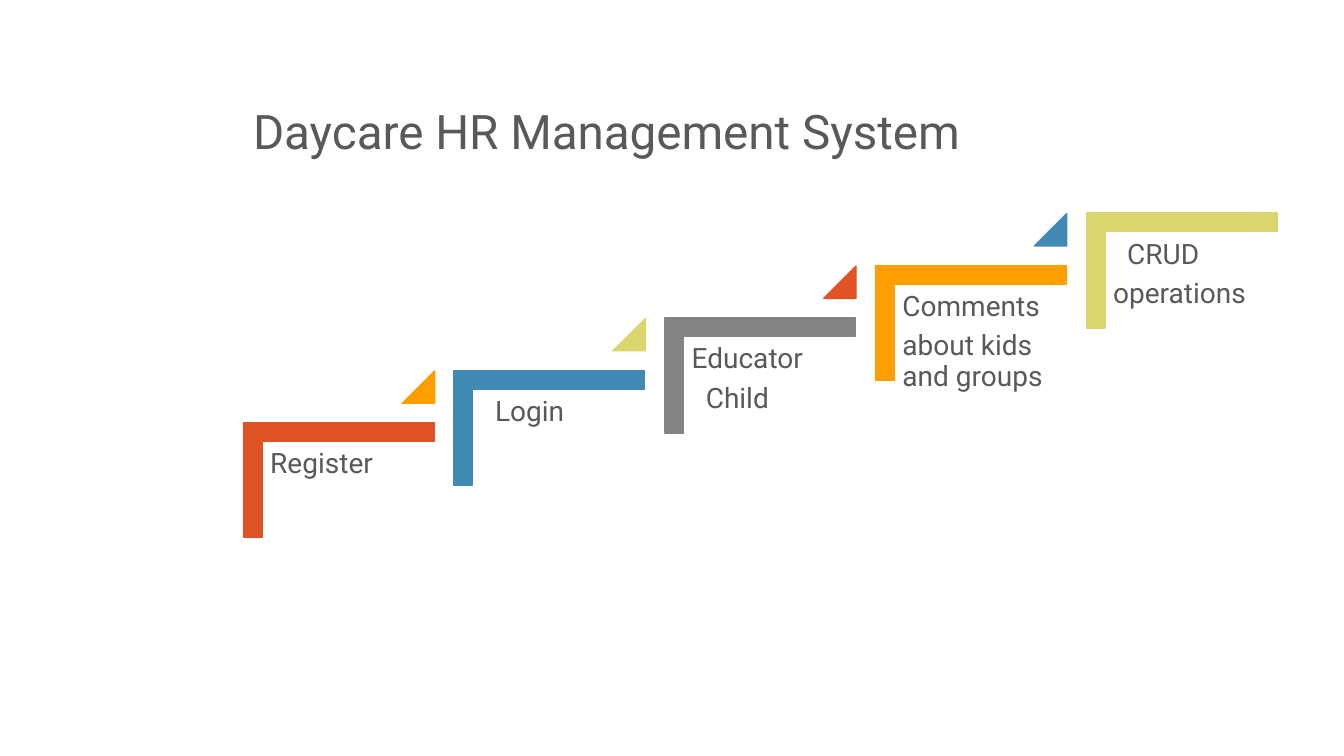
from pptx import Presentation
from pptx.dml.color import RGBColor
from pptx.enum import shapes, text
from pptx.util import Inches, Pt

# Content: one step per entry, each line with its indent in inches
TITLE = "Daycare HR Management System"
STEPS = [
    ("red", [("Register", 0)]),
    ("blue", [("Login", 0.14)]),
    ("gray", [("Educator", 0), ("Child", 0.14)]),
    ("orange", [("Comments", 0), ("about kids and groups", 0)]),
    ("lime", [("CRUD", 0.14), ("operations", 0)]),
]
TRIANGLES = ["orange", "lime", "red", "blue"]
COLORS = {
    "red": "DF5327", "blue": "418AB3", "gray": "838383",
    "orange": "FE9E00", "lime": "D9D66D", "text": "595959",
}

# Places on the first step, and the shift from step to step
CORNER = (2.79, 3.82, 1.14, 1.89)
LABEL = (2.6, 4.38, 1.71, 1.5)
TRIANGLE = (3.99, 3.68, 0.32, 0.32)
SHIFT_X, SHIFT_Y = 2.09, -0.52
LABEL_FRAME = {
    "word_wrap": True,
    "vertical_anchor": text.MSO_ANCHOR.TOP,
    **dict.fromkeys(["margin_left", "margin_right", "margin_top", "margin_bottom"], Inches(0.08)),
}
TITLE_FRAME = {
    "word_wrap": True,
    "vertical_anchor": text.MSO_ANCHOR.BOTTOM,
    "auto_size": text.MSO_AUTO_SIZE.NONE,
}


def color(name):
    return RGBColor.from_string(COLORS[name])


def apply(target, values):
    for name, value in values.items():
        setattr(target, name, value)


def place(box, step):
    left, top, width, height = box
    return [Inches(n) for n in (left + step * SHIFT_X, top + step * SHIFT_Y, width, height)]


def format_paragraph(paragraph, size):
    apply(paragraph, {"line_spacing": 0.9, "alignment": text.PP_ALIGN.LEFT})
    apply(paragraph.font, {"name": "Roboto", "size": Pt(size)})
    paragraph.font.color.rgb = color("text")


def add_filled(slide, kind, box, step, fill, adjustments):
    shape = slide.shapes.add_shape(kind, *place(box, step))
    shape.shadow.inherit = False
    shape.fill.solid()
    shape.fill.fore_color.rgb = color(fill)
    shape.line.color.rgb = color(fill)
    shape.line.width = Pt(1)
    for index, value in enumerate(adjustments):
        shape.adjustments[index] = value
    return shape


def add_label(slide, step, lines):
    frame = slide.shapes.add_textbox(*place(LABEL, step)).text_frame
    apply(frame, LABEL_FRAME)
    for index, (line, indent) in enumerate(lines):
        paragraph = frame.add_paragraph() if index else frame.paragraphs[0]
        paragraph.text = line
        if indent:
            paragraph._p.get_or_add_pPr().set("marL", str(Inches(indent)))
        format_paragraph(paragraph, 20)
        paragraph.space_after = Pt(6.5)


def main():
    presentation = Presentation()
    presentation.slide_width, presentation.slide_height = Inches(13.33), Inches(7.5)
    slide = presentation.slides.add_slide(presentation.slide_layouts[5])

    # Title
    title = slide.shapes.title
    apply(title, dict(zip(("left", "top", "width", "height"), place((2.41, 0.33, 10.25, 1.31), 0))))
    title.text_frame.text = TITLE
    apply(title.text_frame, TITLE_FRAME)
    format_paragraph(title.text_frame.paragraphs[0], 34)

    # Staircase
    for step, (fill, lines) in enumerate(STEPS):
        corner = add_filled(slide, shapes.MSO_SHAPE.CORNER, CORNER, step, fill, [0.161, 0.161])
        corner.rotation = 90
        add_label(slide, step, lines)
        if step < len(TRIANGLES):
            add_filled(slide, shapes.MSO_SHAPE.ISOSCELES_TRIANGLE, TRIANGLE, step, TRIANGLES[step], [1])

    presentation.save("out.pptx")


if __name__ == "__main__":
    main()
